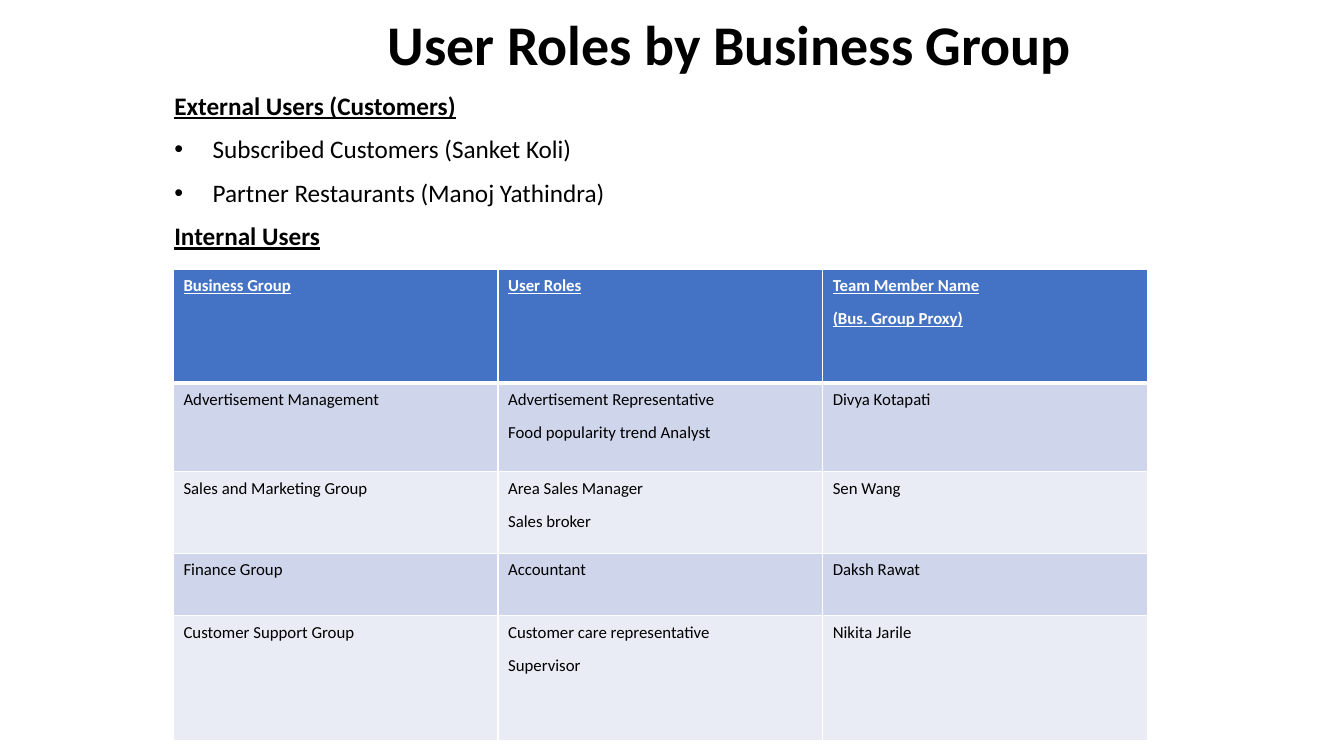
from lxml.etree import SubElement
from pptx import Presentation
from pptx.dml.color import RGBColor
from pptx.enum.text import MSO_AUTO_SIZE, PP_ALIGN
from pptx.oxml.ns import qn
from pptx.util import Inches, Pt

BLACK = RGBColor(0x00, 0x00, 0x00)
WHITE = RGBColor(0xFF, 0xFF, 0xFF)
HEADER_BLUE = RGBColor(0x44, 0x72, 0xC4)
BANDS = (RGBColor(0xE9, 0xEB, 0xF5), RGBColor(0xCF, 0xD5, 0xEA))

# Text, size, bold, underlined, bulleted
INTRODUCTION = [
    ("User Roles by Business Group", 40, True, False, False),
    ("External Users (Customers)", 18, True, True, False),
    ("Subscribed Customers (Sanket Koli)", 18, False, False, True),
    ("Partner Restaurants\u00a0(Manoj Yathindra)", 18, False, False, True),
    ("Internal Users", 18, True, True, False),
]

ROLES = [
    ("Business Group", "User Roles", "Team Member Name\n(Bus. Group Proxy)"),
    ("Advertisement Management",
     "Advertisement Representative\nFood popularity trend Analyst", "Divya Kotapati"),
    ("Sales and Marketing Group", "Area Sales Manager\nSales broker", "Sen Wang"),
    ("Finance Group", "Accountant", "Daksh Rawat"),
    ("Customer Support Group", "Customer care representative\nSupervisor", "Nikita Jarile"),
]
ROW_HEIGHTS = (1.13, 0.88, 0.81, 0.62, 1.24)
COLUMN_WIDTH = 3.22


class RolesSlide:
    font_name = "Calibri"
    line_spacing = 1.07
    space_after = Pt(8)

    def __init__(self, presentation):
        self.slide = presentation.slides.add_slide(presentation.slide_layouts[6])

    def format_paragraph(self, paragraph, size, color, bold, underline):
        paragraph.line_spacing = self.line_spacing
        paragraph.space_after = self.space_after
        for run in paragraph.runs:
            run.font.name = self.font_name
            run.font.size = Pt(size)
            run.font.color.rgb = color
            run.font.bold = bold
            run.font.underline = underline

    def add_bullet(self, paragraph):
        properties = paragraph._p.get_or_add_pPr()
        properties.set("marL", str(Inches(0.38)))
        properties.set("indent", str(-Inches(0.38)))
        SubElement(properties, qn("a:buFont"), typeface="Arial")
        SubElement(properties, qn("a:buChar"), char="•")
        tabs = SubElement(properties, qn("a:tabLst"))
        SubElement(tabs, qn("a:tab"), pos=str(Inches(0.5)), algn="l")

    def add_introduction(self, lines, left, top, width, height):
        shape = self.slide.shapes.add_textbox(
            Inches(left), Inches(top), Inches(width), Inches(height))
        text_frame = shape.text_frame
        text_frame.word_wrap = True
        text_frame.auto_size = MSO_AUTO_SIZE.SHAPE_TO_FIT_TEXT
        text_frame.text = "\n".join(line[0] for line in lines)
        for paragraph, (_, size, bold, underline, bulleted) in zip(text_frame.paragraphs, lines):
            self.format_paragraph(paragraph, size, BLACK, bold, underline)
            if bulleted:
                self.add_bullet(paragraph)
        text_frame.paragraphs[0].alignment = PP_ALIGN.CENTER

    def add_borders(self, cell, top, bottom):
        """Draw white cell borders; top and bottom are widths in points."""
        properties = cell._tc.get_or_add_tcPr()
        for side, width in (("L", 1), ("R", 1), ("T", top), ("B", bottom)):
            line = SubElement(properties, qn(f"a:ln{side}"), w=str(Pt(width)))
            fill = SubElement(line, qn("a:solidFill"))
            SubElement(fill, qn("a:srgbClr"), val=str(WHITE))

    def add_table(self, rows, left, top):
        column_count = len(rows[0])
        table = self.slide.shapes.add_table(
            len(rows), column_count, Inches(left), Inches(top),
            Inches(COLUMN_WIDTH * column_count), Inches(sum(ROW_HEIGHTS))).table
        for column in table.columns:
            column.width = Inches(COLUMN_WIDTH)
        for row_index, texts in enumerate(rows):
            table.rows[row_index].height = Inches(ROW_HEIGHTS[row_index])
            is_header = row_index == 0
            for column_index, text in enumerate(texts):
                cell = table.cell(row_index, column_index)
                self.add_borders(cell, 3 if row_index == 1 else 1, 3 if is_header else 1)
                cell.fill.solid()
                cell.fill.fore_color.rgb = HEADER_BLUE if is_header else BANDS[row_index % 2]
                cell.text_frame.text = text
                for paragraph in cell.text_frame.paragraphs:
                    self.format_paragraph(
                        paragraph, 12, WHITE if is_header else BLACK, is_header, is_header)


def main():
    presentation = Presentation()
    presentation.slide_width = Inches(13.33)
    presentation.slide_height = Inches(7.5)
    roles_slide = RolesSlide(presentation)
    roles_slide.add_table(ROLES, 1.72, 2.67)
    roles_slide.add_introduction(INTRODUCTION, 1.63, 0, 11.21, 2.55)
    presentation.save("out.pptx")


if __name__ == "__main__":
    main()
